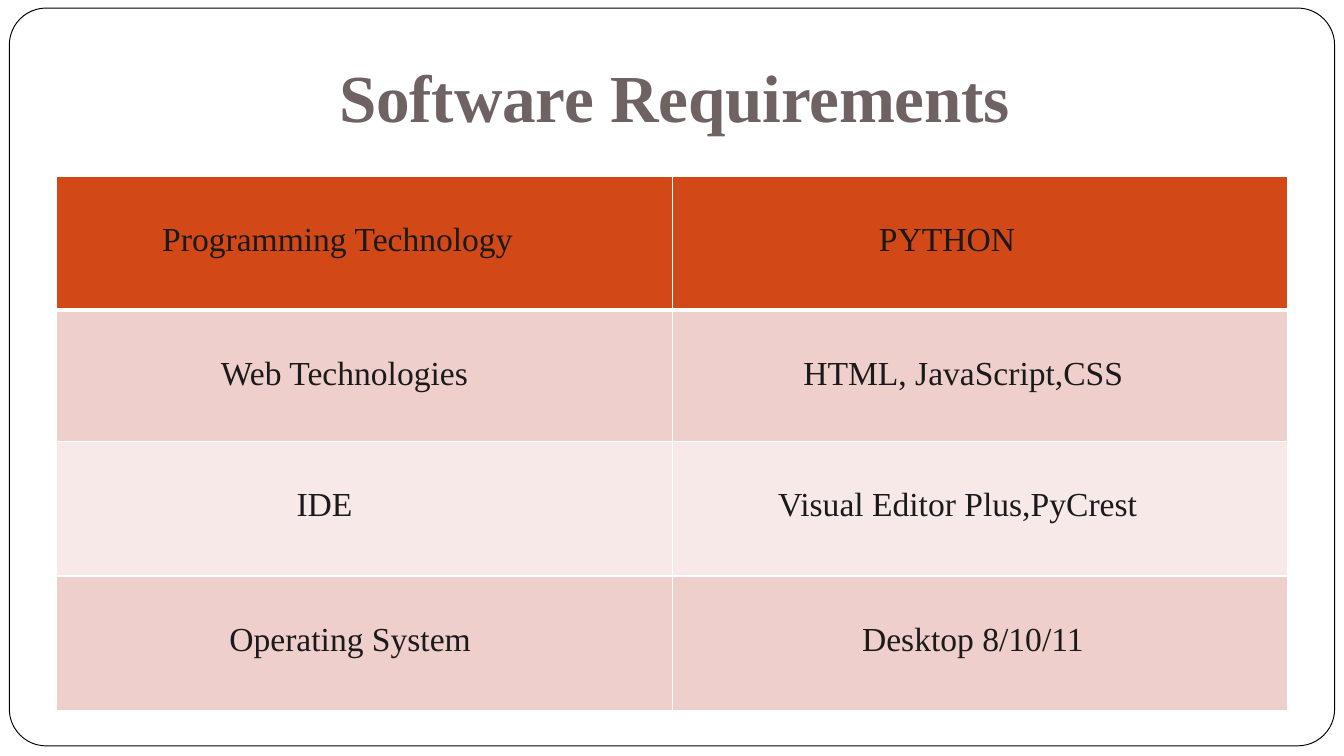
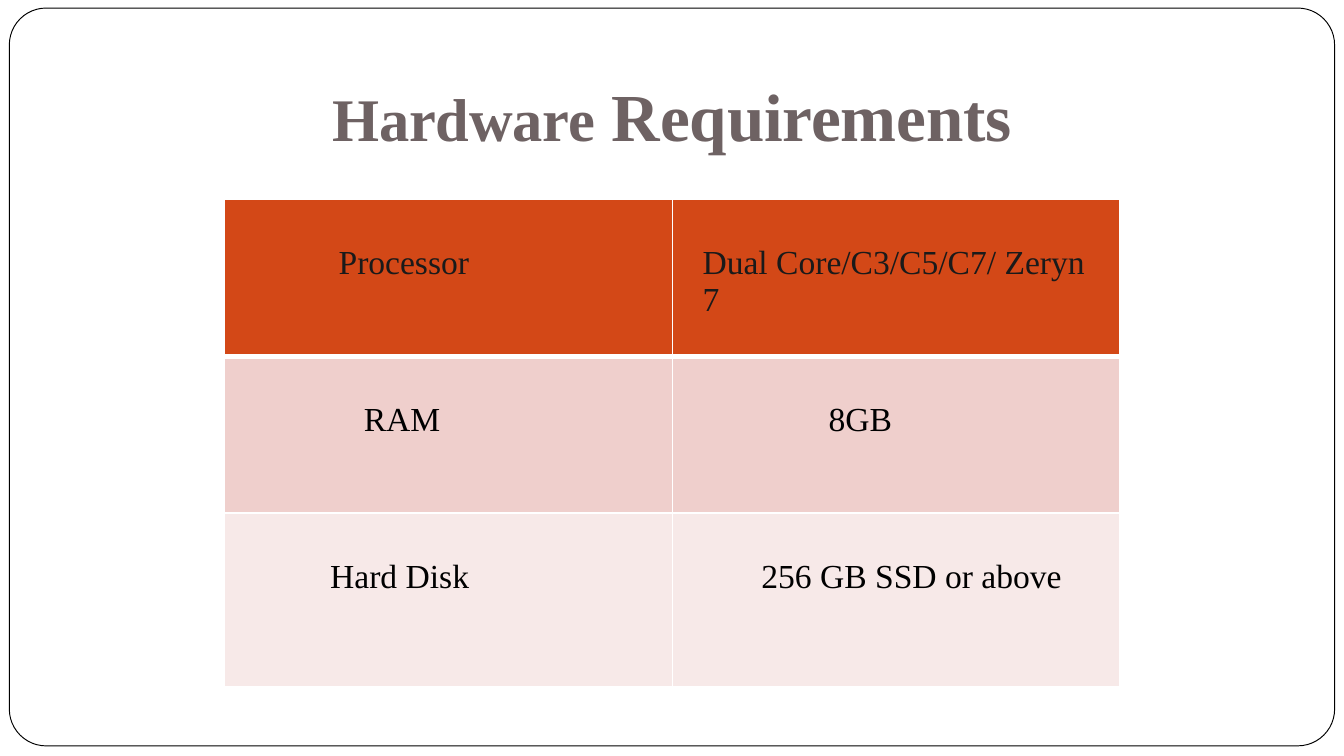
from lxml import etree
from pptx import Presentation
from pptx.dml.color import RGBColor
from pptx.enum.shapes import MSO_SHAPE
from pptx.enum.text import MSO_ANCHOR, PP_ALIGN
from pptx.oxml.ns import qn
from pptx.util import Pt

ROUNDED = MSO_SHAPE.ROUNDED_RECTANGLE
CENTER = PP_ALIGN.CENTER
LEFT = PP_ALIGN.LEFT
MIDDLE = MSO_ANCHOR.MIDDLE
BOTTOM = MSO_ANCHOR.BOTTOM
TOP = MSO_ANCHOR.TOP

FONT = "Times New Roman"
WHITE = RGBColor(0xFF, 0xFF, 0xFF)
BLACK = RGBColor(0x00, 0x00, 0x00)
CHARCOAL = RGBColor(0x1A, 0x1A, 0x1A)
TITLE_GREY = RGBColor(0x6E, 0x62, 0x63)
HEADER_ORANGE = RGBColor(0xD3, 0x48, 0x17)
BANDS = (RGBColor(0xEF, 0xCF, 0xCC), RGBColor(0xF7, 0xE9, 0xE8))

SLIDE_WIDTH, SLIDE_HEIGHT = 720, 405
BODY_SIZE = 18
CELL_TOP = 24.3

# Each cell: text and its distance from the cell's left edge in points
SOFTWARE = [
    [("Programming Technology", 56.7), ("PYTHON", 110.7)],
    [("Web Technologies", 88.2), ("HTML, JavaScript,CSS", 70.2)],
    [("IDE", 128.7), ("Visual Editor Plus,PyCrest", 56.7)],
    [("Operating System", 92.7), ("Desktop 8/10/11", 101.7)],
]
HARDWARE = [
    [("Processor", 61.2), ("Dual Core/C3/C5/C7/ Zeryn 7", 16.2)],
    [("RAM", 74.7), ("8GB", 83.7)],
    [("Hard Disk", 56.7), ("256 GB SSD or above", 47.7)],
]


def add_run(paragraph, text, size, color, bold=False, spacing=0):
    run = paragraph.add_run()
    run.text = text
    run.font.name = FONT
    run.font.size = Pt(size)
    run.font.bold = bold
    run.font.color.rgb = color
    if spacing:
        run.font._element.set("spc", str(round(spacing * 100)))


def add_frame_to_layout(slide):
    """Draw the rounded page frame and hand it to the layout, behind everything."""
    frame = slide.shapes.add_shape(ROUNDED, Pt(5), Pt(4.3), Pt(710), Pt(395.3))
    frame.adjustments[0] = 0.05
    frame.shadow.inherit = False
    frame.fill.solid()
    frame.fill.fore_color.rgb = WHITE
    frame.line.color.rgb = BLACK
    frame.line.width = Pt(0.5)
    slide.slide_layout.shapes.element.insert(2, frame.element)


def set_title(slide, box, margins, anchor, parts):
    """Place the title; parts are (text, size, letter spacing)."""
    title = slide.shapes.title
    title.left, title.top, title.width, title.height = map(Pt, box)
    text = title.text_frame
    text.word_wrap = True
    text.vertical_anchor = anchor
    (text.margin_left, text.margin_top,
     text.margin_right, text.margin_bottom) = map(Pt, margins)
    heading = text.paragraphs[0]
    heading.alignment = CENTER
    for words, size, spacing in parts:
        add_run(heading, words, size, TITLE_GREY, bold=True, spacing=spacing)


def set_borders(cell, top, bottom):
    """White borders, placed ahead of the cell's fill as the schema asks."""
    properties = cell._tc.get_or_add_tcPr()
    widths = {"a:lnL": 1, "a:lnR": 1, "a:lnT": top, "a:lnB": bottom}
    for position, (tag, width) in enumerate(widths.items()):
        line = etree.Element(qn(tag), w=str(Pt(width)))
        fill = etree.SubElement(line, qn("a:solidFill"))
        etree.SubElement(fill, qn("a:srgbClr"), val=str(WHITE))
        properties.insert(position, line)


def add_requirements(slide, left, top, column_width, row_heights, rows, body_color):
    table = slide.shapes.add_table(
        len(rows), 2, Pt(left), Pt(top), Pt(2 * column_width), Pt(sum(row_heights))
    ).table
    table.horz_banding = False
    for column in table.columns:
        column.width = Pt(column_width)
    for row_index, entries in enumerate(rows):
        table.rows[row_index].height = Pt(row_heights[row_index])
        is_header = row_index == 0
        for column_index, (words, indent) in enumerate(entries):
            cell = table.cell(row_index, column_index)
            cell.fill.solid()
            cell.fill.fore_color.rgb = (
                HEADER_ORANGE if is_header else BANDS[(row_index - 1) % 2])
            set_borders(cell, top=3 if row_index == 1 else 1,
                        bottom=3 if is_header else 1)
            cell.vertical_anchor = TOP
            cell.margin_left = Pt(indent)
            cell.margin_top = Pt(CELL_TOP)
            paragraph = cell.text_frame.paragraphs[0]
            paragraph.alignment = LEFT
            add_run(paragraph, words, BODY_SIZE,
                    CHARCOAL if is_header else body_color)


def main():
    deck = Presentation()
    deck.slide_width, deck.slide_height = Pt(SLIDE_WIDTH), Pt(SLIDE_HEIGHT)
    title_only = deck.slide_layouts[5]

    software = deck.slides.add_slide(title_only)
    add_frame_to_layout(software)
    set_title(software, (1.4, 28.8, SLIDE_WIDTH, 44.6), (0, 0.7, 0, 0), MIDDLE,
              [("Software Requirements", 36, -0.1)])
    add_requirements(software, 30.2, 94.6, 330, (71.5, 70.5, 72, 72),
                     SOFTWARE, CHARCOAL)

    hardware = deck.slides.add_slide(title_only)
    set_title(hardware, (0, 31.7, SLIDE_WIDTH, 58.3), (7.2, 3.6, 7.2, 7.2), BOTTOM,
              [("Hardware", 32.4, -0.1), (" ", 36, -0.9),
               ("Requirements", 36, -0.1)])
    add_requirements(hardware, 120.2, 106.8, 240, (84, 84, 93.4),
                     HARDWARE, BLACK)

    deck.save("out.pptx")


if __name__ == "__main__":
    main()
